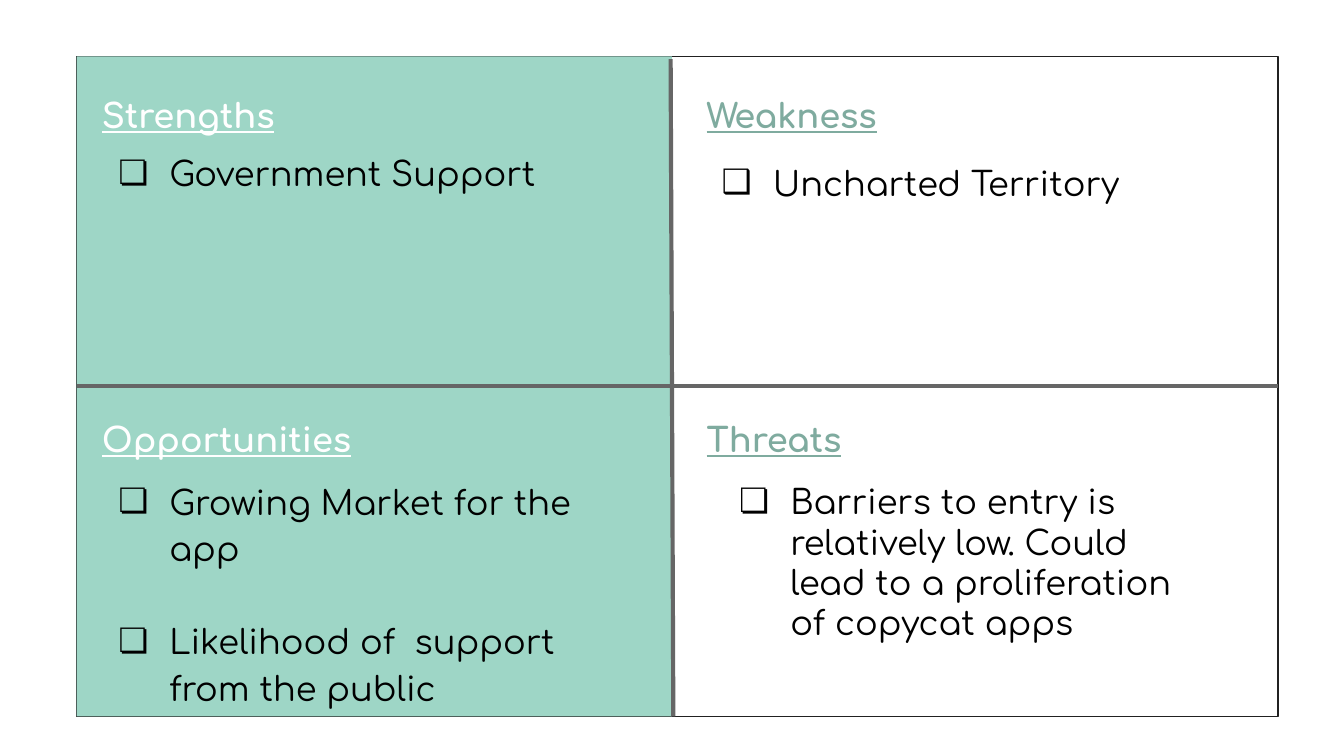
from lxml.etree import SubElement
from pptx import Presentation
from pptx.dml.color import RGBColor
from pptx.enum.shapes import MSO_CONNECTOR, MSO_SHAPE
from pptx.enum.text import MSO_ANCHOR, MSO_AUTO_SIZE
from pptx.oxml.ns import qn
from pptx.util import Inches, Pt

BLACK = RGBColor(0x00, 0x00, 0x00)
WHITE = RGBColor(0xFF, 0xFF, 0xFF)
MINT = RGBColor(0x9E, 0xD6, 0xC6)
SAGE = RGBColor(0x7F, 0xAB, 0x9F)
GREY = RGBColor(0x66, 0x66, 0x66)
INK = RGBColor(0x21, 0x21, 0x21)
FONT = "Comfortaa"

# Frame and heading grid, in inches
LEFT, TOP, WIDTH, HEIGHT = 0.57, 0.42, 8.94, 4.91
COLUMNS = (0.66, 5.16)
ROWS = (0.61, 3.02)
HEADING_SIZES = ((1.54, 0.47), (2.38, 0.53))  # one for each row
HEADING_COLORS = (WHITE, SAGE)  # one for each column

# Row, column, heading, list place (left, top, width, height), line spacing, bullet, items
QUADRANTS = [
    (0, 0, "Strengths", (0.66, 1.04, 3.8, 0.5), 1.0, "❏", ["Government Support"]),
    (0, 1, "Weakness", (5.15, 1.11, 4.06, 1.17), 1.0, "❑", ["Uncharted Territory"]),
    (1, 0, "Opportunities", (0.66, 3.44, 4.06, 1.78), 1.15, "❏",
     ["Growing Market for the app", "Likelihood of  support from the public"]),
    (1, 1, "Threats", (5.28, 3.48, 3.8, 1.23), 1.0, "❏",
     ["Barriers to entry is relatively low. Could lead to a proliferation "
      "of copycat apps"]),
]


def add_panel(page, width, fill=None, line=None):
    panel = page.shapes.add_shape(MSO_SHAPE.RECTANGLE, Inches(LEFT), Inches(TOP),
                                  Inches(width), Inches(HEIGHT))
    panel.shadow.inherit = False
    if fill is None:
        panel.fill.background()
    else:
        panel.fill.solid()
        panel.fill.fore_color.rgb = fill
    if line is None:
        panel.line.fill.background()
    else:
        panel.line.color.rgb = line
        panel.line.width = Pt(0.75)
    return panel


def add_divider(page, x1, y1, x2, y2):
    divider = page.shapes.add_connector(MSO_CONNECTOR.STRAIGHT, Inches(x1), Inches(y1),
                                        Inches(x2), Inches(y2))
    divider.line.color.rgb = GREY
    divider.line.width = Pt(2.25)
    SubElement(divider._element.spPr, qn("a:effectLst"))
    return divider


def prepare_frame(box):
    frame = box.text_frame
    frame.word_wrap = True
    frame.auto_size = MSO_AUTO_SIZE.NONE
    frame.vertical_anchor = MSO_ANCHOR.TOP
    frame.margin_left = frame.margin_right = Inches(0.1)
    frame.margin_top = frame.margin_bottom = Inches(0.1)
    return frame


def style_font(para, color, heading=False):
    font = para.font
    font.name, font.size = FONT, Pt(18)
    font.bold = font.underline = heading
    font.color.rgb = color


def add_heading(page, row, column, text):
    width, height = HEADING_SIZES[row]
    box = page.shapes.add_textbox(Inches(COLUMNS[column]), Inches(ROWS[row]),
                                  Inches(width), Inches(height))
    para = prepare_frame(box).paragraphs[0]
    para.text = text
    style_font(para, HEADING_COLORS[column], heading=True)


def add_bullet(para, bullet):
    properties = para._p.get_or_add_pPr()
    properties.set("marL", str(Inches(0.5)))
    properties.set("indent", str(Inches(-0.38)))
    color = SubElement(properties, qn("a:buClr"))
    SubElement(color, qn("a:srgbClr"), val=str(BLACK))
    SubElement(properties, qn("a:buFont"), typeface=FONT)
    SubElement(properties, qn("a:buChar"), char=bullet)


def fill_list(page, box, place, spacing, bullet, items):
    box.left, box.top, box.width, box.height = map(Inches, place)
    page.shapes._spTree.append(box._element)  # in front of the panels
    frame = prepare_frame(box)
    for number, item in enumerate(items):
        para = frame.add_paragraph() if number else frame.paragraphs[0]
        para.text = item
        para.line_spacing = spacing
        para.space_before = Pt(25 if number else 0)
        add_bullet(para, bullet)
        style_font(para, BLACK)


def main():
    deck = Presentation()
    deck.slide_width = Inches(10)
    deck.slide_height = deck.slide_width * 9 // 16
    page = deck.slides.add_slide(deck.slide_layouts.get_by_name("Comparison"))
    title, *bodies = list(page.placeholders)
    title._element.getparent().remove(title._element)

    # Frame, coloured left half and dividers
    frame = add_panel(page, WIDTH, line=INK)
    add_panel(page, 4.43, fill=MINT)
    middle = TOP + HEIGHT / 2
    across = add_divider(page, LEFT, middle, LEFT + WIDTH, middle)
    across.begin_connect(frame, 1)
    across.end_connect(frame, 3)
    add_divider(page, 4.99, 0.44, 5.01, TOP + HEIGHT)

    # Headings and lists
    for body, (row, column, heading, *content) in zip(bodies, QUADRANTS):
        add_heading(page, row, column, heading)
        fill_list(page, body, *content)

    deck.save("out.pptx")


if __name__ == "__main__":
    main()
